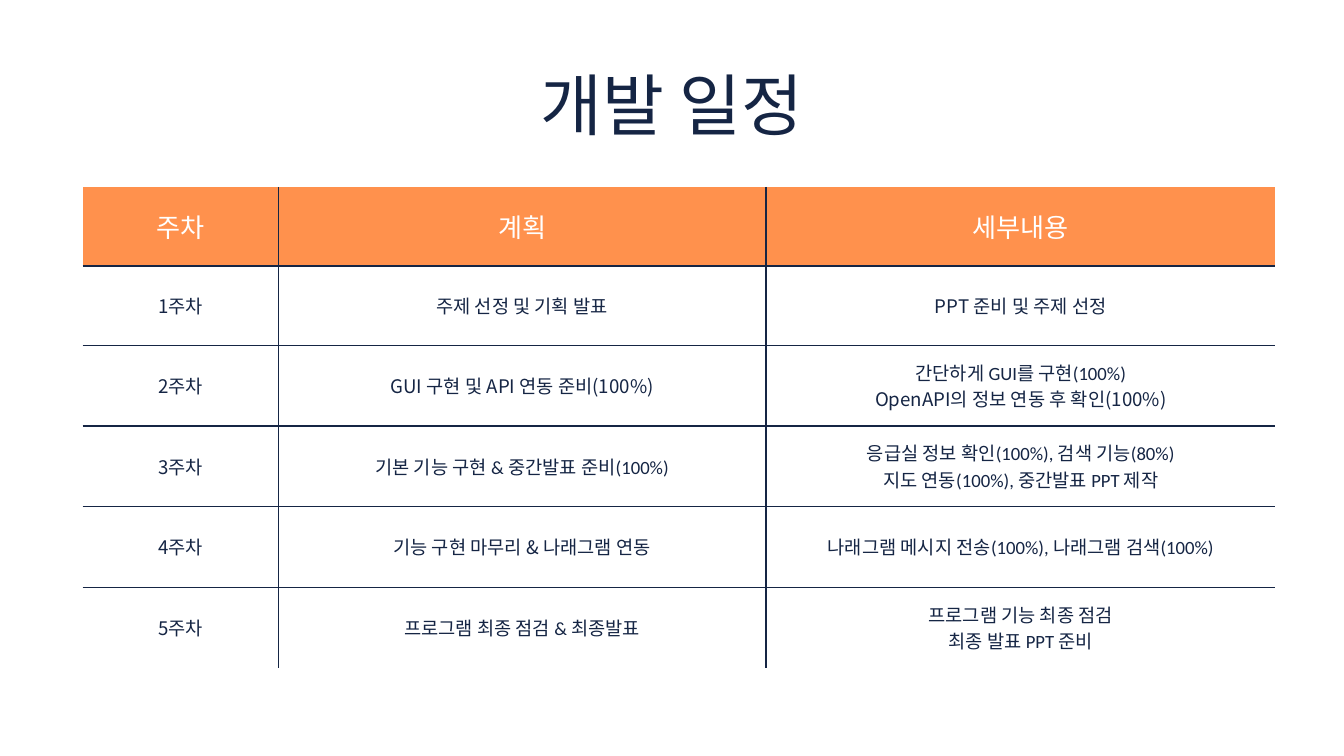
from lxml.etree import SubElement
from pptx import Presentation
from pptx.dml.color import RGBColor
from pptx.enum.text import MSO_ANCHOR, PP_ALIGN
from pptx.oxml.ns import qn
from pptx.util import Inches, Pt

COLORS = {"navy": "152544", "orange": "FF914D", "white": "FFFFFF"}
LATIN, KOREAN = "Calibri", "Noto Sans CJK KR"
TITLE = {"size": 72, "spacing": 86.4, "color": "navy"}
HEADING = {"size": 28, "spacing": 39.2, "color": "white"}
DETAIL = {"size": 20, "spacing": 28, "color": "navy"}
MARGINS = ["margin_left", "margin_top", "margin_right", "margin_bottom"]
COLUMN_SHARES = [14.55, 36.3, 37.9]
ROW_SHARES = [10.49, 10.49, 10.67, 10.67, 10.67, 10.58]
HEADINGS = ["주차", "계획", "세부내용"]
WEEKS = [
    ([[("주제 선정 및 기획 발표", LATIN)]],
     [[("PPT 준비 및 주제 선정", KOREAN)]]),
    ([[("GUI 구현 및 API 연동 준비(100%)", KOREAN)]],
     [[("간단하게 GUI를 구현(100%)", LATIN)],
      [("OpenAPI의 정보 연동 후 확인(100%)", KOREAN)]]),
    ([[("기본 기능 구현 & 중간발표 준비(100%)", LATIN)]],
     [[("응급실 정보 확인(100%), 검색 기능(80%)", LATIN)],
      [("지도 연동(100%), 중간발표 PPT 제작", LATIN)]]),
    ([[("기능 구현 마무리 ", LATIN), ("& ", KOREAN), ("나래그램 연동", LATIN)]],
     [[("나래그램 메시지 전송(100%), 나래그램 검색(100%)", LATIN)]]),
    ([[("프로그램 최종 점검 & 최종발표", LATIN)]],
     [[("프로그램 기능 최종 점검", LATIN)],
      [("최종 발표 PPT 준비", LATIN)]]),
]


class ScheduleDeck:
    """Hold the deck's style and current slide, with lengths in percent of the slide."""

    def __init__(self, width, height):
        self.deck = Presentation()
        self.apply(self.deck, {"slide_width": Inches(width),
                               "slide_height": Inches(height)})
        self.slide = self.deck.slides.add_slide(self.deck.slide_layouts[6])

    def across(self, share):
        return round(self.deck.slide_width * share / 100)

    def down(self, share):
        return round(self.deck.slide_height * share / 100)

    def area(self, left, top, width, height):
        return self.across(left), self.down(top), self.across(width), self.down(height)

    def apply(self, target, values):
        for name, value in values.items():
            setattr(target, name, value)

    def add_lines(self, frame, lines, style):
        for index, line in enumerate(lines):
            paragraph = frame.add_paragraph() if index else frame.paragraphs[0]
            self.apply(paragraph, {"alignment": PP_ALIGN.CENTER,
                                   "line_spacing": Pt(style["spacing"])})
            for words, typeface in line:
                run = paragraph.add_run()
                run.text = words
                self.apply(run.font, {"name": typeface, "size": Pt(style["size"])})
                run.font.color.rgb = RGBColor.from_string(COLORS[style["color"]])
                SubElement(run.font._element, qn("a:ea"), typeface=KOREAN)

    def title(self, words, *shares):
        frame = self.slide.shapes.add_textbox(*self.area(*shares)).text_frame
        self.apply(frame, dict.fromkeys(MARGINS, 0) | {"word_wrap": True})
        self.add_lines(frame, [[(words, LATIN)]], TITLE)

    def border(self, cell, edge, visible):
        line = SubElement(cell._tc.get_or_add_tcPr(), qn(f"a:ln{edge}"),
                          w=str(int(Pt(1.5))) if visible else "0")
        if visible:
            fill = SubElement(line, qn("a:solidFill"))
            SubElement(fill, qn("a:srgbClr"), val=COLORS["navy"])
        else:
            SubElement(line, qn("a:noFill"))

    def table(self, rows, left, top):
        bounds = self.area(left, top, sum(COLUMN_SHARES), sum(ROW_SHARES))
        last_row, last_column = len(rows) - 1, len(COLUMN_SHARES) - 1
        schedule = self.slide.shapes.add_table(
            len(rows), len(COLUMN_SHARES), *bounds).table
        self.apply(schedule, {"first_row": False, "horz_banding": False})
        for column, share in zip(schedule.columns, COLUMN_SHARES):
            column.width = self.across(share)
        for row, share in zip(schedule.rows, ROW_SHARES):
            row.height = self.down(share)
        layout = dict.fromkeys(MARGINS, Inches(0.21))
        layout["vertical_anchor"] = MSO_ANCHOR.MIDDLE
        for r, entries in enumerate(rows):
            for c, lines in enumerate(entries):
                cell = schedule.cell(r, c)
                self.apply(cell, layout)
                edges = {"L": c > 0, "R": c < last_column, "T": r > 0, "B": r < last_row}
                for edge, visible in edges.items():
                    self.border(cell, edge, visible)
                cell.fill.solid()
                fill = COLORS["white" if r else "orange"]
                cell.fill.fore_color.rgb = RGBColor.from_string(fill)
                self.add_lines(cell.text_frame, lines, DETAIL if r else HEADING)


def main():
    schedule = ScheduleDeck(20, 11.25)
    schedule.title("개발 일정", 14.35, 8.36, 71.3, 10.76)
    rows = [[[[(heading, LATIN)]] for heading in HEADINGS]]
    for number, (plan, details) in enumerate(WEEKS, 1):
        rows.append([[[(f"{number}주차", KOREAN)]], plan, details])
    schedule.table(rows, 6.15, 24.71)
    schedule.deck.save("out.pptx")


if __name__ == "__main__":
    main()
